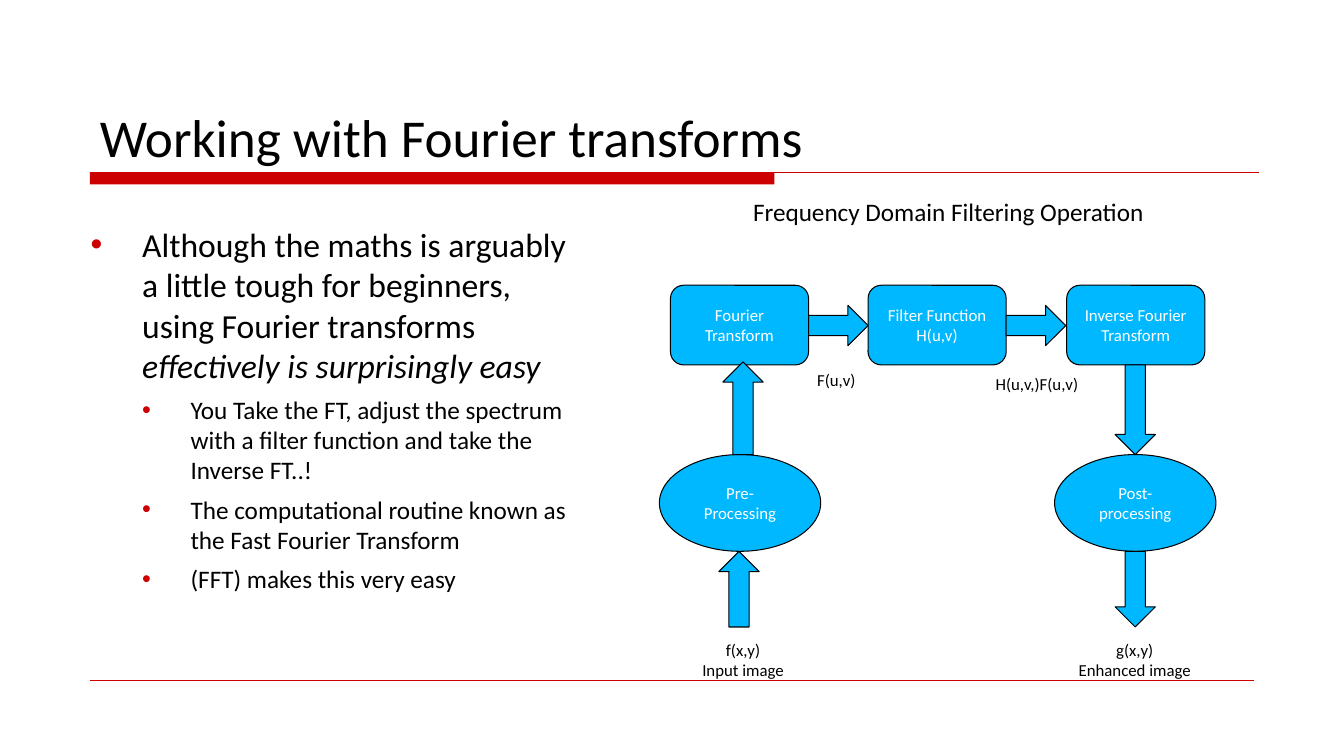
from dataclasses import dataclass

from lxml.etree import SubElement
from pptx import Presentation
from pptx.dml.color import RGBColor
from pptx.enum.shapes import MSO_CONNECTOR, MSO_SHAPE
from pptx.enum.text import MSO_ANCHOR, MSO_AUTO_SIZE, PP_ALIGN
from pptx.oxml.ns import qn
from pptx.shapes.autoshape import Shape
from pptx.slide import Slide
from pptx.text.text import TextFrame, _Paragraph
from pptx.util import Emu, Pt

EMU_PER_PX = 9144


@dataclass(frozen=True)
class Theme:
    font: str = "Calibri"
    text: RGBColor = RGBColor(0, 0, 0)
    inverse: RGBColor = RGBColor(255, 255, 255)
    accent: RGBColor = RGBColor(0xCC, 0, 0)
    node: RGBColor = RGBColor(0, 0xB8, 0xFF)
    title_size: int = 38
    body_size: int = 24
    detail_size: int = 18
    label_size: int = 12
    outline: float = 0.75
    hairline: float = 0.25


@dataclass(frozen=True)
class Box:
    left: int
    top: int
    width: int
    height: int


@dataclass(frozen=True)
class Block:
    kind: MSO_SHAPE
    box: Box
    text: str = ""


@dataclass(frozen=True)
class Label:
    box: Box
    lines: tuple[str, ...]
    size: int
    alignment: PP_ALIGN = PP_ALIGN.CENTER


@dataclass(frozen=True)
class Bullet:
    level: int
    text: str
    emphasis: str = ""


@dataclass(frozen=True)
class BulletStyle:
    margin: int
    hanging: int
    space_before: float
    size: int


THEME = Theme()
BULLET_STYLES = (
    BulletStyle(51, 51, 7.5, THEME.body_size),
    BulletStyle(99, 48, 6.5, THEME.detail_size),
)
BULLETS = (
    Bullet(
        0,
        "Although the maths is arguably a little tough for beginners, using Fourier transforms ",
        "effectively is surprisingly easy",
    ),
    Bullet(1, "You Take the FT, adjust the spectrum with a filter function and take the Inverse FT..!"),
    Bullet(1, "The computational routine known as the Fast Fourier Transform"),
    Bullet(1, "(FFT) makes this very easy"),
)
STAGES = tuple(
    Block(MSO_SHAPE.ROUNDED_RECTANGLE, Box(left, 283, 137, 79), text)
    for left, text in (
        (665, "Fourier Transform"),
        (861, "Filter Function H(u,v)"),
        (1058, "Inverse Fourier Transform"),
    )
)
PROCESSES = tuple(
    Block(MSO_SHAPE.OVAL, Box(left, 451, 160, 96), text)
    for left, text in ((654, "Pre-Processing"), (1046, "Post-processing"))
)
ARROWS = (
    Block(MSO_SHAPE.UP_ARROW, Box(713, 547, 40, 75)),
    Block(MSO_SHAPE.DOWN_ARROW, Box(1106, 547, 40, 75)),
    Block(MSO_SHAPE.UP_ARROW, Box(717, 359, 40, 92)),
    Block(MSO_SHAPE.DOWN_ARROW, Box(1106, 362, 40, 89)),
    Block(MSO_SHAPE.RIGHT_ARROW, Box(802, 303, 59, 40)),
    Block(MSO_SHAPE.RIGHT_ARROW, Box(998, 303, 59, 40)),
)
LABELS = (
    Label(Box(686, 630, 102, 50), ("f(x,y)", "Input image"), THEME.label_size),
    Label(Box(1059, 630, 133, 50), ("g(x,y)", "Enhanced image"), THEME.label_size),
    Label(Box(800, 362, 59, 30), ("F(u,v)",), THEME.label_size),
    Label(Box(977, 366, 103, 30), ("H(u,v,)F(u,v)",), THEME.label_size),
    Label(
        Box(737, 190, 412, 40),
        ("Frequency Domain Filtering Operation",),
        THEME.detail_size,
        PP_ALIGN.LEFT,
    ),
)


def px(length: int) -> Emu:
    return Emu(length * EMU_PER_PX)


def edges(box: Box) -> tuple[Emu, Emu, Emu, Emu]:
    return px(box.left), px(box.top), px(box.width), px(box.height)


def place(shape: Shape, box: Box) -> None:
    shape.left, shape.top, shape.width, shape.height = edges(box)


def add_run(
    paragraph: _Paragraph, text: str, size: int, color: RGBColor = THEME.text, italic: bool = False
) -> None:
    run = paragraph.add_run()
    run.text = text
    run.font.name = THEME.font
    run.font.size = Pt(size)
    run.font.italic = italic
    run.font.color.rgb = color


def next_paragraph(frame: TextFrame, index: int) -> _Paragraph:
    return frame.add_paragraph() if index else frame.paragraphs[0]


def add_rule(slide: Slide, left: int, right: int, top: int, width: float) -> None:
    rule = slide.shapes.add_connector(
        MSO_CONNECTOR.STRAIGHT, px(left), px(top), px(right), px(top)
    )
    rule.line.color.rgb = THEME.accent
    rule.line.width = Pt(width)
    SubElement(rule._element.spPr, qn("a:effectLst"))


def add_title_bar(slide: Slide) -> None:
    bar = slide.shapes.add_shape(MSO_SHAPE.RECTANGLE, *edges(Box(89, 171, 679, 12)))
    bar.shadow.inherit = False
    bar.fill.solid()
    bar.fill.fore_color.rgb = THEME.accent
    bar.line.fill.background()


def fill_title(slide: Slide) -> None:
    title = slide.shapes.title
    place(title, Box(89, 47, 1156, 125))
    frame = title.text_frame
    frame.auto_size = MSO_AUTO_SIZE.NONE
    frame.vertical_anchor = MSO_ANCHOR.BOTTOM
    paragraph = frame.paragraphs[0]
    paragraph.alignment = PP_ALIGN.LEFT
    add_run(paragraph, "Working with Fourier transforms", THEME.title_size)


def format_bullet(paragraph: _Paragraph, style: BulletStyle) -> None:
    paragraph.space_before = Pt(style.space_before)
    properties = paragraph._p.get_or_add_pPr()
    properties.set("marL", str(px(style.margin)))
    properties.set("indent", str(-px(style.hanging)))
    color = SubElement(properties, qn("a:buClr"))
    SubElement(color, qn("a:srgbClr"), val=str(THEME.accent))
    SubElement(properties, qn("a:buFont"), typeface="Arial")
    SubElement(properties, qn("a:buChar"), char="•")


def fill_body(slide: Slide) -> None:
    body = slide.placeholders[1]
    place(body, Box(80, 217, 513, 422))
    frame = body.text_frame
    frame.auto_size = MSO_AUTO_SIZE.NONE
    for index, bullet in enumerate(BULLETS):
        style = BULLET_STYLES[bullet.level]
        paragraph = next_paragraph(frame, index)
        paragraph.level = bullet.level
        format_bullet(paragraph, style)
        add_run(paragraph, bullet.text, style.size)
        if bullet.emphasis:
            add_run(paragraph, bullet.emphasis, style.size, italic=True)


def add_block(slide: Slide, block: Block) -> None:
    shape = slide.shapes.add_shape(block.kind, *edges(block.box))
    shape.shadow.inherit = False
    shape.fill.solid()
    shape.fill.fore_color.rgb = THEME.node
    shape.line.color.rgb = THEME.text
    shape.line.width = Pt(THEME.outline)
    if block.text:
        frame = shape.text_frame
        frame.vertical_anchor = MSO_ANCHOR.MIDDLE
        paragraph = frame.paragraphs[0]
        paragraph.alignment = PP_ALIGN.CENTER
        add_run(paragraph, block.text, THEME.label_size, THEME.inverse)


def add_label(slide: Slide, label: Label) -> None:
    frame = slide.shapes.add_textbox(*edges(label.box)).text_frame
    frame.word_wrap = False
    frame.auto_size = MSO_AUTO_SIZE.SHAPE_TO_FIT_TEXT
    for index, line in enumerate(label.lines):
        paragraph = next_paragraph(frame, index)
        paragraph.alignment = label.alignment
        add_run(paragraph, line, label.size)


def main() -> None:
    presentation = Presentation()
    presentation.slide_width, presentation.slide_height = px(1333), px(750)
    slide = presentation.slides.add_slide(presentation.slide_layouts[1])
    add_title_bar(slide)
    add_rule(slide, 89, 1249, 171, THEME.outline)
    add_rule(slide, 89, 1244, 675, THEME.hairline)
    fill_title(slide)
    fill_body(slide)
    for block in PROCESSES + STAGES + ARROWS:
        add_block(slide, block)
    for label in LABELS:
        add_label(slide, label)
    presentation.save("out.pptx")


if __name__ == "__main__":
    main()
